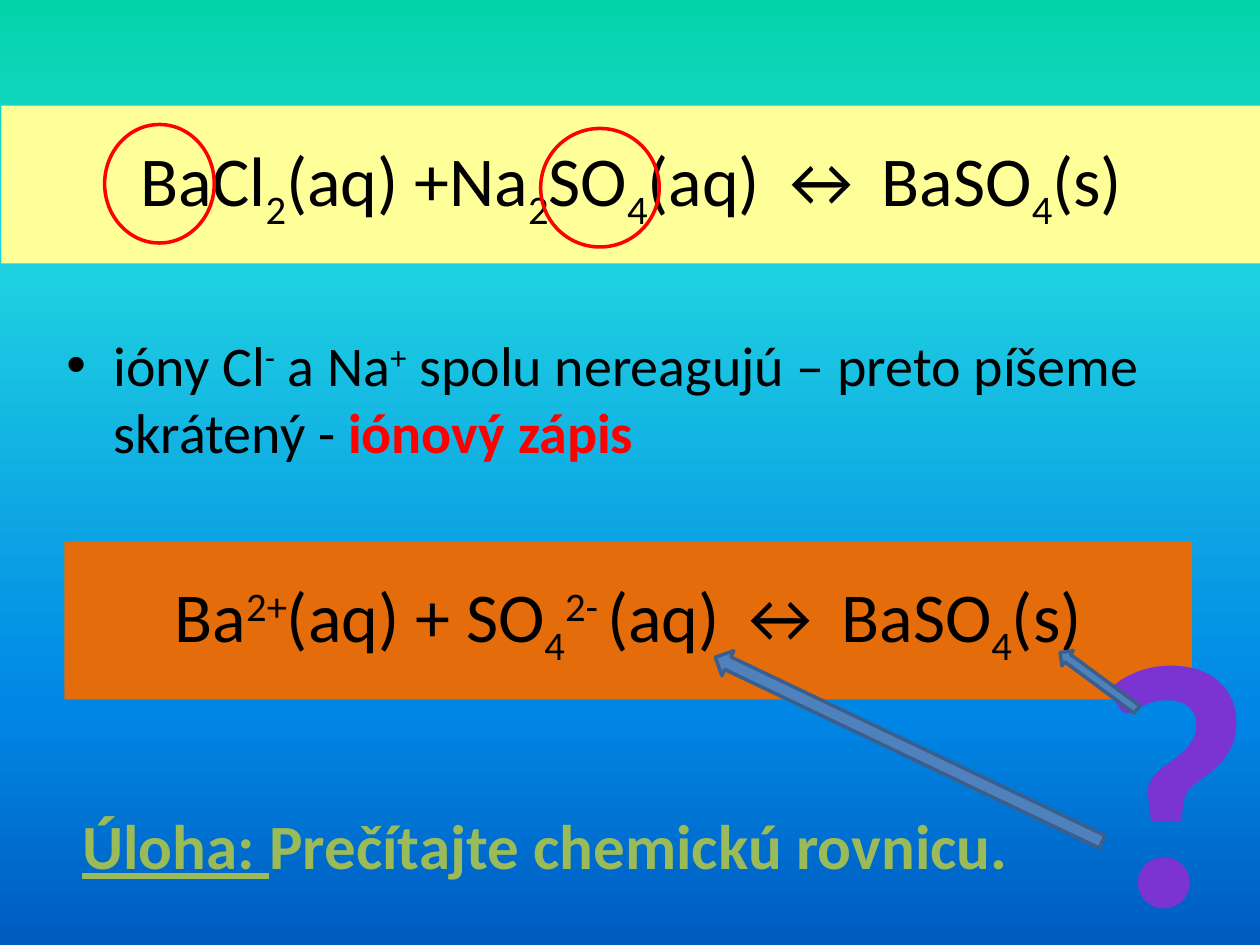
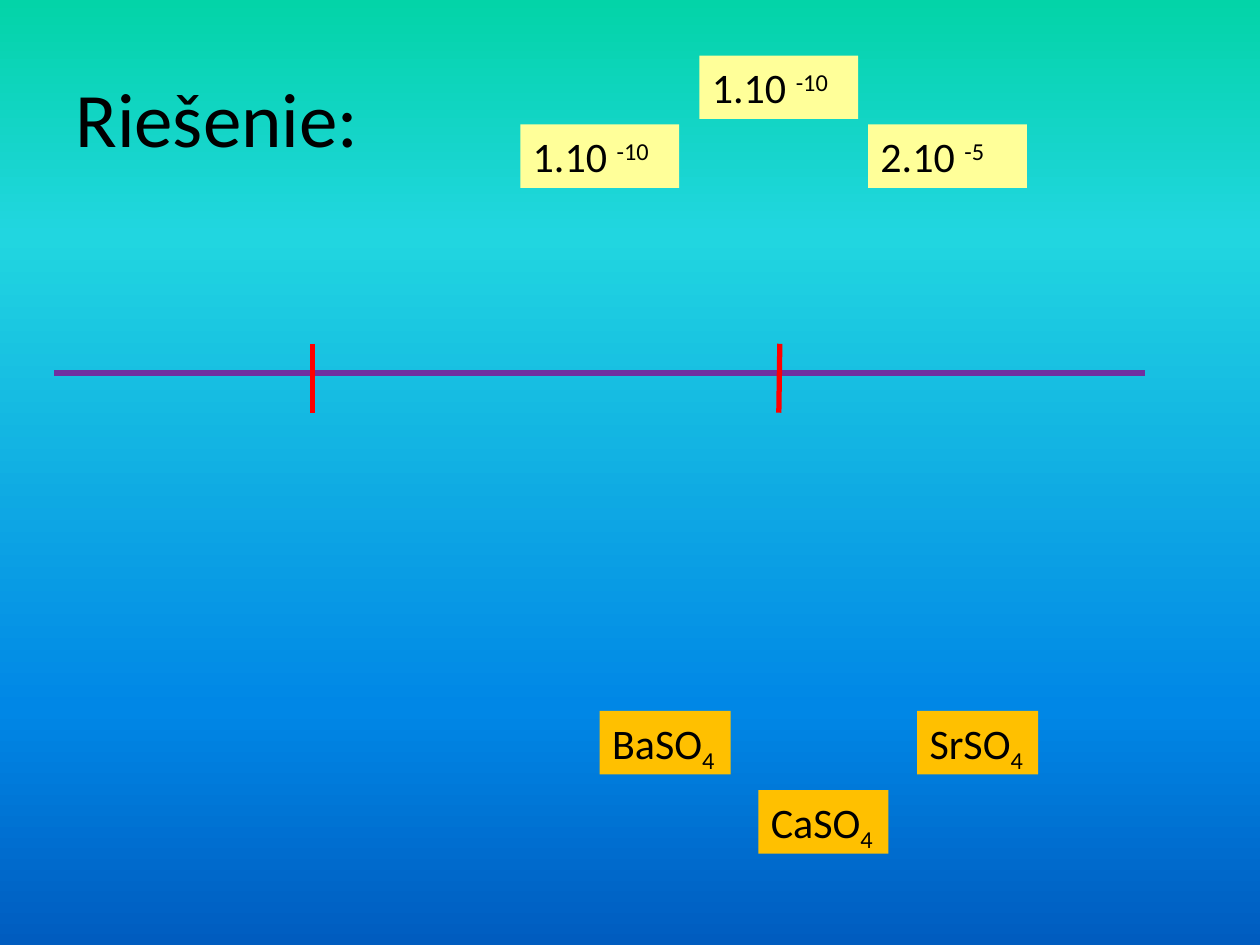
from dataclasses import dataclass

from pptx import Presentation
from pptx.dml.color import RGBColor
from pptx.enum.shapes import MSO_CONNECTOR, MSO_SHAPE
from pptx.enum.text import MSO_ANCHOR, PP_ALIGN
from pptx.oxml import parse_xml
from pptx.oxml.ns import nsdecls, qn
from pptx.util import Cm, Pt

RECTANGLE, ELLIPSE, LEFT_ARROW = MSO_SHAPE.RECTANGLE, MSO_SHAPE.OVAL, MSO_SHAPE.LEFT_ARROW
STRAIGHT = MSO_CONNECTOR.STRAIGHT
LEFT, CENTER = PP_ALIGN.LEFT, PP_ALIGN.CENTER
TOP, MIDDLE = MSO_ANCHOR.TOP, MSO_ANCHOR.MIDDLE

FONT = "Calibri"
BLACK, RED, GREEN, PURPLE = "000000", "FF0000", "9BBB59", "7030A0"
YELLOW, ORANGE, AMBER = "FFFF99", "E46C0A", "FFC000"
ARROW_FILL, ARROW_LINE = "4F81BD", "3A5F8C"
BACKGROUND_STOPS = [(0, "03D4A8"), (25, "21D6E0"), (75, "0087E6"), (100, "005CBF")]
QUESTION_STOPS = [(0, "3D1B67"), (43, "7B34D2"), (48, "7330C4"), (100, "3D1B67")]
QUESTION_LINE = "5E457C"


@dataclass
class Run:
    """A stretch of text with its own look."""
    text: str
    baseline: int = 0
    color: str = BLACK
    bold: bool = False
    underline: bool = False


def sub(text):
    """Return a subscript run."""
    return Run(text, -25)


def sup(text):
    """Return a superscript run."""
    return Run(text, 30)


def rgb(value):
    """Turn a hex string into a colour."""
    return RGBColor.from_string(value)


def paint_gradient(fill, element, stops):
    """Give a fill inside an element a vertical gradient."""
    fill.solid()
    solid = element.find(".//" + qn("a:solidFill"))
    stop_xml = "".join(f'<a:gs pos="{position * 1000}"><a:srgbClr val="{color}"/></a:gs>'
                       for position, color in stops)
    gradient = parse_xml(f'<a:gradFill {nsdecls("a")} rotWithShape="1"><a:gsLst>{stop_xml}'
                         '</a:gsLst><a:lin ang="5400000" scaled="0"/></a:gradFill>')
    solid.getparent().replace(solid, gradient)


def add_slide(presentation):
    """Add a blank slide with the shared background."""
    slide = presentation.slides.add_slide(presentation.slide_layouts[6])
    paint_gradient(slide.background.fill, slide.element, BACKGROUND_STOPS)
    return slide


def write(shape, runs, size, align=LEFT, anchor=TOP, wrap=True):
    """Write runs, or plain strings, as one paragraph of a shape."""
    frame = shape.text_frame
    frame.word_wrap = wrap
    frame.vertical_anchor = anchor
    paragraph = frame.paragraphs[0]
    paragraph.alignment = align
    for item in runs:
        piece = Run(item) if isinstance(item, str) else item
        run = paragraph.add_run()
        run.text = piece.text
        run.font.name, run.font.size = FONT, Pt(size)
        run.font.bold, run.font.underline = piece.bold, piece.underline
        run.font.color.rgb = rgb(piece.color)
        if piece.baseline:
            run._r.get_or_add_rPr().set("baseline", str(piece.baseline * 1000))
    return paragraph


def add_shape(slide, kind, box, fill=None, line=None, rotation=0):
    """Add a preset shape with an optional fill and outline."""
    shape = slide.shapes.add_shape(kind, *map(Cm, box))
    shape.shadow.inherit = False
    shape.rotation = rotation
    if fill:
        shape.fill.solid()
        shape.fill.fore_color.rgb = rgb(fill)
    else:
        shape.fill.background()
    if line:
        shape.line.color.rgb = rgb(line)
        shape.line.width = Pt(2)
    else:
        shape.line.fill.background()
    return shape


def add_panel(slide, box, fill, runs, size=24, **layout):
    """Add a filled rectangle with text."""
    write(add_shape(slide, RECTANGLE, box, fill), runs, size, **layout)


def add_text(slide, box, runs, size, **layout):
    """Add a text box and return its paragraph."""
    return write(slide.shapes.add_textbox(*map(Cm, box)), runs, size, **layout)


def add_bullet(paragraph):
    """Give a paragraph a hanging bullet."""
    properties = paragraph._p.get_or_add_pPr()
    properties.set("marL", str(Cm(0.95)))
    properties.set("indent", str(-Cm(0.95)))
    properties.append(parse_xml(f'<a:buFont {nsdecls("a")} typeface="Arial"/>'))
    properties.append(parse_xml(f'<a:buChar {nsdecls("a")} char="•"/>'))


def add_question_mark(slide, box):
    """Add the large outlined question mark with a gradient."""
    run = add_text(slide, box, [Run("?", bold=True)], 199, align=CENTER).runs[0]
    properties = run._r.get_or_add_rPr()
    paint_gradient(run.font.fill, properties, QUESTION_STOPS)
    properties.insert(0, parse_xml(
        f'<a:ln {nsdecls("a")} w="{Pt(0.71)}"><a:solidFill><a:srgbClr val="{QUESTION_LINE}"/>'
        '</a:solidFill></a:ln>'))


def add_line(slide, ends, color):
    """Add a straight line between two points."""
    line = slide.shapes.add_connector(STRAIGHT, *map(Cm, ends))
    line.line.color.rgb = rgb(color)
    line.line.width = Pt(3)
    line.element.spPr.append(parse_xml(f'<a:effectLst {nsdecls("a")}/>'))


def build_equation_slide(presentation):
    """Build the slide with the full and the ionic equation."""
    slide = add_slide(presentation)
    product = ["(aq) ↔ BaSO", sub("4"), "(s)"]
    equation = {"size": 40, "align": CENTER, "anchor": MIDDLE}
    add_panel(slide, (0.03, 2.13, 25.4, 3.18), YELLOW,
              ["BaCl", sub("2"), "(aq) +Na", sub("2"), "SO", sub("4"), *product], **equation)
    add_bullet(add_text(
        slide, (1.09, 6.53, 22.86, 12.5),
        ["ióny Cl", sup("-"), " a Na", sup("+"), " spolu nereagujú – preto píšeme skrátený - ",
         Run("iónový zápis", color=RED, bold=True)], 32))
    add_panel(slide, (1.3, 10.92, 22.73, 3.18), ORANGE,
              ["Ba", sup("2+"), "(aq) + SO", sub("4"), sup("2- "), *product], **equation)
    for ring in [(2.11, 2.51, 2.21, 2.39), (10.9, 2.59, 2.39, 2.39)]:
        add_shape(slide, ELLIPSE, ring, line=RED)
    add_question_mark(slide, (21.39, 11.13, 4.5, 8.76))
    add_text(slide, (1.3, 16.13, 19.38, 1.8),
             [Run("Úloha: ", color=GREEN, bold=True, underline=True),
              Run("Prečítajte chemickú rovnicu.", color=GREEN, bold=True)],
             36, align=CENTER, wrap=False)
    for box, angle in [((14, 14.83, 8.64, 0.56), 25.5), ((21.18, 13.54, 1.93, 0.38), 36.5)]:
        add_shape(slide, LEFT_ARROW, box, ARROW_FILL, ARROW_LINE, angle)


def build_solution_slide(presentation):
    """Build the slide with the axis and the labels to sort."""
    slide = add_slide(presentation)
    add_text(slide, (1.27, 0.76, 22.86, 3.18), ["Riešenie:"], 44, anchor=MIDDLE)
    add_line(slide, (1.09, 7.52, 23.09, 7.52), PURPLE)
    for top_x, bottom_x in [(6.3, 6.3), (15.72, 15.7)]:
        add_line(slide, (top_x, 6.93, bottom_x, 8.32), RED)
    constants = [(10.49, 2.51, "1.10 ", "-10"), (14.1, 1.12, "1.10 ", "-10"),
                 (17.5, 2.51, "2.10 ", "-5")]
    for left, top, factor, exponent in constants:
        add_panel(slide, (left, top, 3.2, 1.28), YELLOW, [factor, sup(exponent)])
    sulfates = [("BaSO", 14.33, 2.64), ("CaSO", 15.93, 2.62), ("SrSO", 14.33, 2.44)]
    for index, (formula, top, width) in enumerate(sulfates):
        add_panel(slide, (12.09 + 3.2 * index, top, width, 1.28), AMBER,
                  [formula, sub("4")], wrap=False)


def main():
    """Build and save the presentation."""
    presentation = Presentation()
    presentation.slide_width, presentation.slide_height = Cm(25.4), Cm(19.05)
    build_equation_slide(presentation)
    build_solution_slide(presentation)
    presentation.save("out.pptx")


if __name__ == "__main__":
    main()
